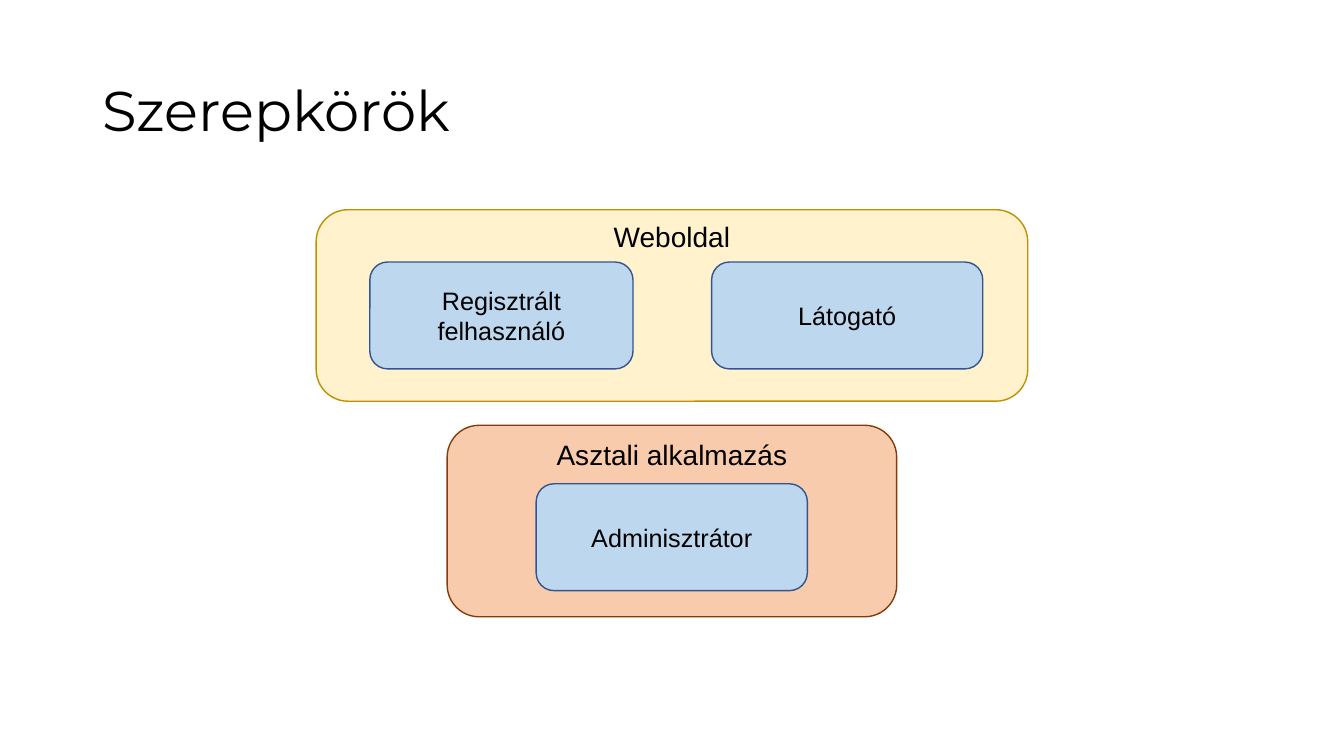
from pptx import Presentation
from pptx.dml.color import RGBColor
from pptx.enum.shapes import MSO_SHAPE as Shape
from pptx.enum.text import MSO_ANCHOR as Anchor, PP_ALIGN as Align
from pptx.util import Pt

SLIDE_W, SLIDE_H = 960, 540
TITLE = "Szerepkörök"
GROUP_H, ROLE_H = 136.8, 76.3
ROLE_FILL, ROLE_LINE = "BDD7EE", "325491"

# label, top, width, top inset, fill, line, top of roles, roles (name, left, width)
GROUPS = [
    ("Weboldal", 149.8, 508.3, 0.5, "FFF2CC", "BF9000", 187.2,
     [("Regisztrált felhasználó", 264.2, 188), ("Látogató", 508.3, 193.7)]),
    ("Asztali alkalmazás", 303.8, 321.1, 2, "F8CBAD", "843C0B", 345.6,
     [("Adminisztrátor", 383, 193.7)]),
]


def color(hex_string):
    return RGBColor.from_string(hex_string)


def add_text(tf, text, size, font, align):
    p = tf.paragraphs[0]
    p.alignment = align
    r = p.add_run()
    r.text = text
    r.font.size = Pt(size)
    r.font.name = font
    r.font.color.rgb = color("000000")
    return p


def add_box(slide, text, box, size, fill, line, anchor):
    sp = slide.shapes.add_shape(Shape.ROUNDED_RECTANGLE, *map(Pt, box))
    sp.shadow.inherit = False
    sp.fill.solid()
    sp.fill.fore_color.rgb = color(fill)
    sp.line.color.rgb = color(line)
    sp.line.width = Pt(1)
    tf = sp.text_frame
    tf.word_wrap = True
    tf.vertical_anchor = anchor
    add_text(tf, text, size, "Arial", Align.CENTER)
    return tf


def main():
    prs = Presentation()
    prs.slide_width, prs.slide_height = Pt(SLIDE_W), Pt(SLIDE_H)
    slide = prs.slides.add_slide(prs.slide_layouts[5])

    title = slide.shapes.title
    title.left, title.top, title.width, title.height = map(Pt, (66, 28.8, 828, 104.4))
    title.text_frame.vertical_anchor = Anchor.MIDDLE
    p = add_text(title.text_frame, TITLE, 40, "Montserrat", Align.LEFT)
    p.line_spacing = 0.9

    for label, top, width, inset, fill, line, role_top, roles in GROUPS:
        box = ((SLIDE_W - width) / 2, top, width, GROUP_H)
        tf = add_box(slide, label, box, 20, fill, line, Anchor.TOP)
        tf.margin_top = Pt(inset)
        for name, left, role_w in roles:
            add_box(slide, name, (left, role_top, role_w, ROLE_H), 18,
                    ROLE_FILL, ROLE_LINE, Anchor.MIDDLE)

    prs.save("out.pptx")


if __name__ == "__main__":
    main()
